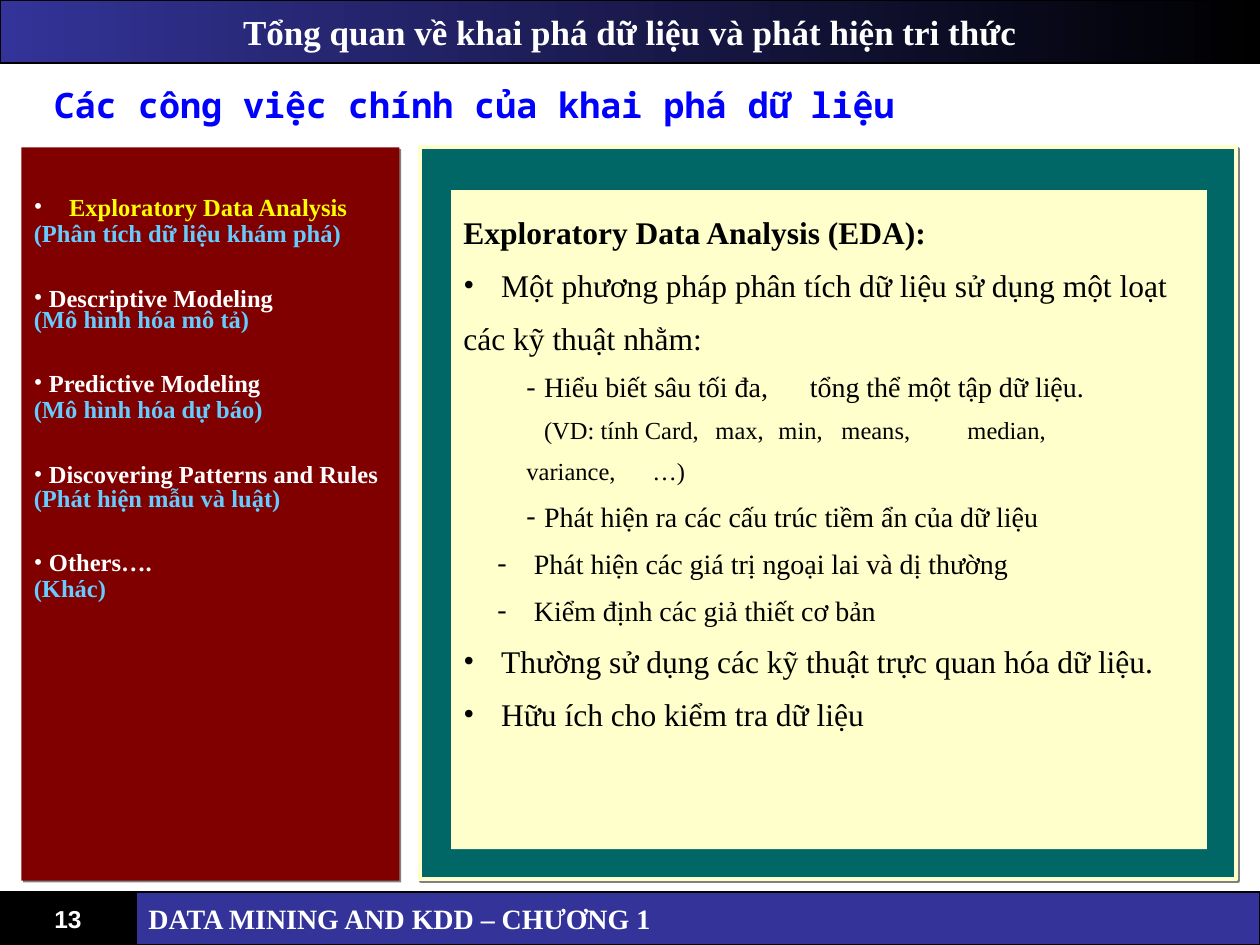
"""Build the slide on the main tasks of data mining, with Exploratory Data Analysis in focus."""
from lxml import etree
from pptx import Presentation
from pptx.dml.color import RGBColor
from pptx.enum.shapes import MSO_SHAPE as Shape
from pptx.enum.text import MSO_ANCHOR as Anchor, PP_ALIGN as Align
from pptx.oxml.ns import qn
from pptx.util import Inches, Pt

SERIF, MONO, SANS = "Times New Roman", "Noto Sans Mono", "Arial"
BLACK, WHITE, NAVY, CREAM = "000000", "FFFFFF", "333399", "FFFFCC"
MAROON, TEAL, YELLOW, SKY, BLUE, GREY = "800000", "006666", "FFFF00", "66CCFF", "0000FF", "808080"

TITLE = "Tổng quan về khai phá dữ liệu và phát hiện tri thức"
HEADING = "Các công việc chính của khai phá dữ liệu"
FOOTER = "DATA MINING AND KDD – CHƯƠNG 1"
PAGE = "13"

TASKS = [
    ("Exploratory Data Analysis", "(Phân tích dữ liệu khám phá)", YELLOW, 0.28, 0.9),
    ("Descriptive Modeling", "(Mô hình hóa mô tả)", WHITE, 0.12, 0.7),
    ("Predictive Modeling", "(Mô hình hóa dự báo)", WHITE, 0.12, 0.9),
    ("Discovering Patterns and Rules", "(Phát hiện mẫu và luật)", WHITE, 0.12, 0.8),
    ("Others….", "(Khác)", WHITE, 0.12, 0.9),
]

POINT = {"size": 18, "bullet": "•", "left": 0.3, "first": -0.3}
AIM = {"size": 16, "bullet": "-", "left": 0.64, "first": -0.14}
CHECK = {"size": 16, "bullet": "-", "left": 0.56, "first": -0.29}
EXAMPLE = {"size": 14, "left": 0.5, "first": 0.14, "tabs": [1.45, 2.17, 2.84, 3.48, 4.32]}
DETAILS = [
    ("Exploratory Data Analysis (EDA):", {"size": 18, "bold": True}),
    ("Một phương pháp phân tích dữ liệu sử dụng một loạt", POINT),
    ("các kỹ thuật nhằm:", {"size": 18}),
    ("Hiểu biết sâu tối đa,\ttổng thể một tập dữ liệu.", {**AIM, "tabs": [2.75]}),
    ("(VD: tính Card,\tmax,\tmin,\tmeans,\tmedian,\vvariance,\t…)", EXAMPLE),
    ("Phát hiện ra các cấu trúc tiềm ẩn của dữ liệu", AIM),
    ("Phát hiện các giá trị ngoại lai và dị thường", CHECK),
    ("Kiểm định các giả thiết cơ bản", CHECK),
    ("Thường sử dụng các kỹ thuật trực quan hóa dữ liệu.", POINT),
    ("Hữu ích cho kiểm tra dữ liệu", POINT),
]


def color(value):
    """Turn a hex string into a colour."""
    return RGBColor.from_string(value)


def add_child(parent, tag, **attributes):
    """Append one XML element with its attributes."""
    return etree.SubElement(parent, qn(tag), {key: str(value) for key, value in attributes.items()})


def add_box(slide, place, fill, line=None, width=0.75, shadow=False):
    """Add a filled rectangle with an optional outline and shadow."""
    shape = slide.shapes.add_shape(Shape.RECTANGLE, *map(Inches, place))
    shape.shadow.inherit = False
    shape.fill.solid()
    shape.fill.fore_color.rgb = color(fill)
    if line:
        shape.line.color.rgb = color(line)
        shape.line.width = Pt(width)
    else:
        shape.line.fill.background()
    if shadow:
        effects = shape.element.spPr.find(qn("a:effectLst"))
        outer = add_child(effects, "a:outerShdw", dist=Pt(1.4), dir=45 * 60000, algn="ctr", rotWithShape=0)
        add_child(outer, "a:srgbClr", val=GREY)
    return shape


def write(shape, lines, anchor=Anchor.MIDDLE, top=0.05):
    """Write (text, format) lines into a shape."""
    frame = shape.text_frame
    frame.word_wrap, frame.vertical_anchor, frame.margin_top = True, anchor, Inches(top)
    for index, (text, style) in enumerate(lines):
        paragraph = frame.add_paragraph() if index else frame.paragraphs[0]
        paragraph.text = text
        paragraph.alignment = style.get("align", Align.LEFT)
        paragraph.line_spacing = style.get("spacing", 1.0)
        properties = paragraph._p.get_or_add_pPr()
        properties.set("marL", str(Inches(style.get("left", 0))))
        properties.set("indent", str(Inches(style.get("first", 0))))
        if "bullet" in style:
            bullet_color = add_child(properties, "a:buClr")
            add_child(bullet_color, "a:srgbClr", val=style.get("bullet_color", BLACK))
            add_child(properties, "a:buFont", typeface=SERIF)
            add_child(properties, "a:buChar", char=style["bullet"])
        if "tabs" in style:
            stops = add_child(properties, "a:tabLst")
            for stop in style["tabs"]:
                add_child(stops, "a:tab", pos=Inches(stop), algn="l")
        values = {"name": style.get("font", SERIF), "size": Pt(style["size"]), "bold": style.get("bold", False)}
        for run in paragraph.runs:
            for key, value in values.items():
                setattr(run.font, key, value)
            run.font.color.rgb = color(style.get("color", BLACK))


def task_lines():
    """Pair each task with its translation."""
    base = {"size": 14, "bold": True}
    for name, translation, tint, left, spacing in TASKS:
        yield name, {**base, "color": tint, "spacing": 2.2, "bullet": "•", "bullet_color": WHITE,
                     "left": left, "first": -left}
        yield translation, {**base, "color": SKY, "spacing": spacing}


def main():
    """Lay out the slide and save it."""
    presentation = Presentation()
    presentation.slide_width, presentation.slide_height = Inches(10), Inches(7.5)
    slide = presentation.slides.add_slide(presentation.slide_layouts[6])
    label = {"bold": True, "color": WHITE}

    page = add_box(slide, (0, 7.08, 1.08, 0.42), BLACK, BLACK)
    write(page, [(PAGE, {**label, "size": 14, "font": SANS, "align": Align.CENTER})])

    heading = slide.shapes.add_textbox(*map(Inches, (0.33, 0.58, 8.58, 0.5)))
    write(heading, [(HEADING, {"size": 20, "font": MONO, "bold": True, "color": BLUE})])

    tasks = add_box(slide, (0.17, 1.17, 3, 5.82), MAROON, shadow=True)
    write(tasks, task_lines(), Anchor.TOP, 0.07)

    add_box(slide, (3.33, 1.17, 6.48, 5.81), TEAL, CREAM, 2.25, shadow=True)
    details = add_box(slide, (3.58, 1.51, 6, 5.23), CREAM)
    write(details, [(text, {**style, "spacing": 1.4}) for text, style in DETAILS], Anchor.TOP, 0.06)

    banner = add_box(slide, (0, 0, 10, 0.5), NAVY, BLACK)
    banner.fill.gradient()
    banner.fill.gradient_angle = 0
    for stop, tint, position in zip(banner.fill.gradient_stops, (NAVY, BLACK), (0, 1)):
        stop.color.rgb, stop.position = color(tint), position
    write(banner, [(TITLE, {**label, "size": 20, "align": Align.CENTER})])

    footer = add_box(slide, (1.08, 7.08, 8.92, 0.42), NAVY, BLACK)
    write(footer, [(FOOTER, {**label, "size": 16})])

    presentation.save("out.pptx")


if __name__ == "__main__":
    main()
